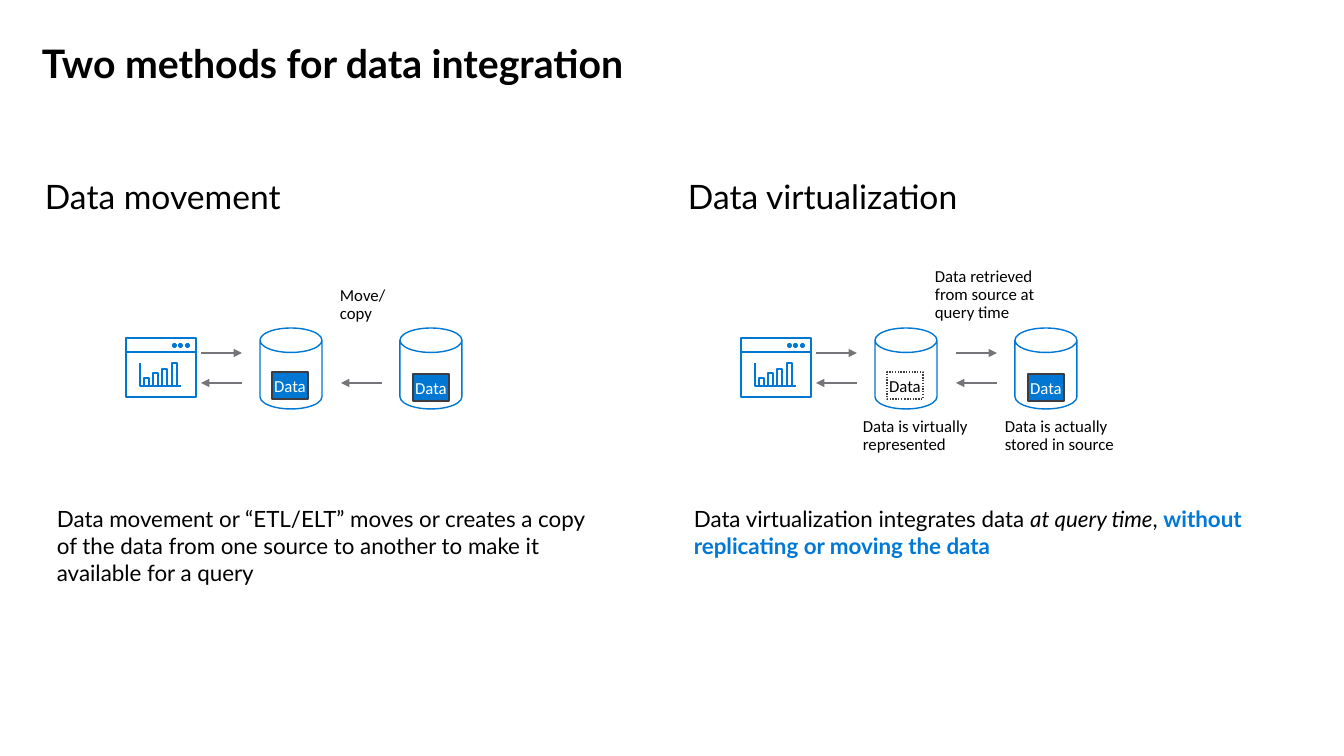
"""Build a slide that compares data movement with data virtualization."""
from dataclasses import dataclass

from lxml.etree import SubElement
from pptx import Presentation
from pptx.dml.color import RGBColor
from pptx.enum.dml import MSO_LINE
from pptx.enum.shapes import MSO_CONNECTOR, MSO_SHAPE
from pptx.enum.text import MSO_ANCHOR, MSO_AUTO_SIZE, PP_ALIGN
from pptx.oxml.ns import qn
from pptx.util import Pt


@dataclass(frozen=True)
class Theme:
    black: str = "000000"
    white: str = "FFFFFF"
    blue: str = "0078D3"
    accent: str = "0078D7"
    gray: str = "757579"
    border: str = "3C3C41"
    text_font: str = "Lato"
    label_font: str = "Calibri"
    title_size: int = 28
    heading_size: int = 24
    body_size: int = 16
    label_size: int = 12


theme = Theme()
PX = 914400 / 100.8


def write(shape, text, size=theme.body_size, font=theme.text_font, color=theme.black,
          bold=False, italic=False, line_spacing=1.0, indent=0, align=PP_ALIGN.LEFT):
    paragraph = shape.text_frame.paragraphs[0]
    paragraph.alignment = align
    paragraph.line_spacing = line_spacing
    if indent:
        paragraph.level = 1
        properties = paragraph._p.get_or_add_pPr()
        properties.set("marL", str(round(indent * PX)))
        properties.set("indent", "0")
    run = paragraph.add_run()
    run.text = text
    run.font.name = font
    run.font.size = Pt(size)
    run.font.color.rgb = RGBColor.from_string(color)
    run.font.bold = bold
    run.font.italic = italic


def draw(kind, x, y, width, height, line=None, fill=None, arrow=False):
    box = [round(value * PX) for value in (x, y, width, height)]
    if kind is MSO_CONNECTOR.STRAIGHT:
        left, top, across, down = box
        shape = slide.shapes.add_connector(kind, left, top, left + across, top + down)
        SubElement(shape._element.spPr, qn("a:effectLst"))
    else:
        shape = slide.shapes.add_shape(kind, *box)
        shape.shadow.inherit = False
        shape.fill.background()
        if fill:
            shape.fill.solid()
            shape.fill.fore_color.rgb = RGBColor.from_string(fill)
    if line:
        shape.line.color.rgb = RGBColor.from_string(line)
        shape.line.width = Pt(1)
    else:
        shape.line.fill.background()
    if arrow:
        SubElement(shape.line._get_or_add_ln(), qn("a:tailEnd"), type="triangle")
    return shape


presentation = Presentation()
presentation.slide_width = round(1344 * PX)
presentation.slide_height = round(756 * PX)
slide = presentation.slides.add_slide(presentation.slide_layouts[6])

REQUEST_Y, REPLY_Y = 353, 383
APP_GAP, STORE_GAP, ARROW_LENGTH = 75, 215, 41
REQUEST_GAPS = {"movement": [APP_GAP], "virtualization": [APP_GAP, STORE_GAP]}

for method, left in (("movement", 126), ("virtualization", 741)):
    draw(MSO_SHAPE.RECTANGLE, left, 338, 70, 59, line=theme.blue)
    draw(MSO_CONNECTOR.STRAIGHT, left, 352, 70, 0, line=theme.blue)
    for dot in range(3):
        draw(MSO_SHAPE.OVAL, left + 46 + dot * 13 // 2, 343, 5, 5, fill=theme.blue)

    builder = slide.shapes.build_freeform(left + 14, 363, scale=PX)
    builder.add_line_segments([(left + 14, 386), (left + 55, 386)], close=False)
    axis = builder.convert_to_shape()
    axis.shadow.inherit = False
    axis.fill.background()
    axis.line.color.rgb = RGBColor.from_string(theme.accent)
    axis.line.width = Pt(1)
    for bar, height in enumerate((8, 13, 17, 23)):
        draw(MSO_SHAPE.RECTANGLE, left + 18 + bar * 28 // 3, 386 - height, 5, height,
             line=theme.accent)

    for gap in REQUEST_GAPS[method]:
        draw(MSO_CONNECTOR.STRAIGHT, left + gap, REQUEST_Y, ARROW_LENGTH, 0,
             line=theme.gray, arrow=True)
    for gap in (APP_GAP, STORE_GAP):
        draw(MSO_CONNECTOR.STRAIGHT, left + gap + ARROW_LENGTH, REPLY_Y, -ARROW_LENGTH, 0,
             line=theme.gray, arrow=True)

    for store in range(2):
        cylinder = draw(MSO_SHAPE.CAN, left + 134 + store * 140, 328, 62, 81, line=theme.blue)
        cylinder.adjustments[0] = 0.395
        virtual = method == "virtualization" and store == 0
        data = draw(MSO_SHAPE.RECTANGLE, left + 146 + store * 141, 372 + store * 2, 36, 27,
                    line=theme.border, fill=None if virtual else theme.blue)
        if virtual:
            data.line.dash_style = MSO_LINE.ROUND_DOT
        data.text_frame.margin_left = data.text_frame.margin_right = 0
        data.text_frame.vertical_anchor = MSO_ANCHOR.MIDDLE
        write(data, "Data", size=theme.label_size, font=theme.label_font,
              color=theme.black if virtual else theme.white, align=PP_ALIGN.CENTER)

title = dict(size=theme.title_size, bold=True, line_spacing=0.9)
heading = dict(size=theme.heading_size, line_spacing=0.9)
label = dict(size=theme.label_size, font=theme.label_font, line_spacing=0.9)
body = dict(indent=12)

texts = [
    (32, 40, 1159, 146, title, [("Two methods for data integration", {})]),
    (35, 175, 593, 46, heading, [("Data movement", {})]),
    (678, 175, 593, 46, heading, [("Data virtualization", {})]),
    (35, 500, 583, 92, body, [
        ("Data movement or “ETL/ELT” moves or creates a copy of the data from one source "
         "to another to make it available for a query", {})]),
    (672, 500, 583, 65, body, [
        ("Data virtualization integrates data ", {}),
        ("at query time", dict(italic=True)),
        (", ", {}),
        ("without replicating or moving the data", dict(color=theme.accent, bold=True))]),
    (330, 282, 69, 46, label, [("Move/ copy", {})]),
    (925, 263, 142, 65, label, [("Data retrieved from source at query time", {})]),
    (853, 413, 142, 46, label, [("Data is virtually represented", {})]),
    (995, 413, 142, 46, label, [("Data is actually stored in source", {})]),
]
for x, y, width, height, style, runs in texts:
    text_box = slide.shapes.add_textbox(*(round(value * PX) for value in (x, y, width, height)))
    text_box.text_frame.word_wrap = True
    text_box.text_frame.auto_size = (
        MSO_AUTO_SIZE.NONE if style is title else MSO_AUTO_SIZE.SHAPE_TO_FIT_TEXT)
    for text, emphasis in runs:
        write(text_box, text, **style, **emphasis)

presentation.save("out.pptx")
